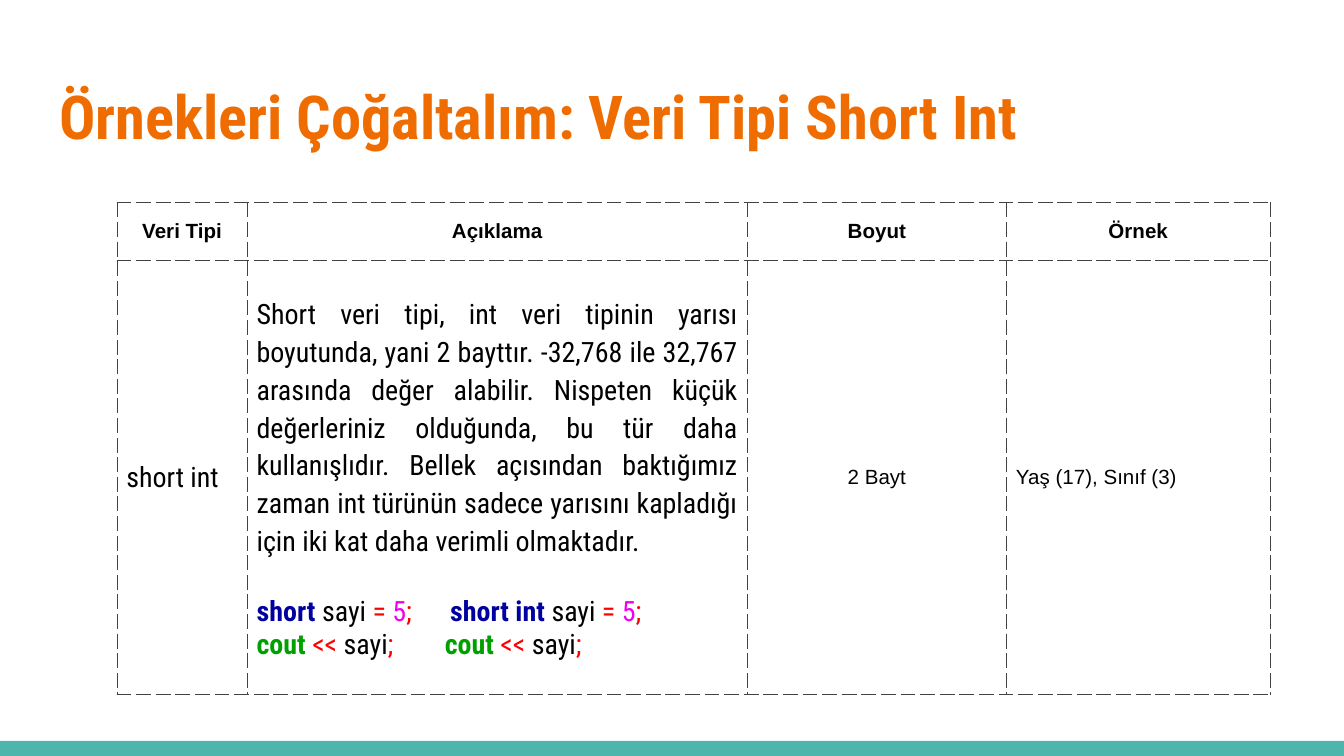
from dataclasses import dataclass
from lxml.etree import SubElement
from pptx import Presentation
from pptx.dml.color import RGBColor as RGB
from pptx.enum.shapes import MSO_SHAPE as Shape
from pptx.enum.text import MSO_ANCHOR as Anchor, MSO_AUTO_SIZE as Fit, PP_ALIGN as Align
from pptx.oxml import parse_xml
from pptx.oxml.ns import nsdecls, qn
from pptx.util import Inches, Pt

# Content
TITLE = "Örnekleri Çoğaltalım: Veri Tipi Short Int"
HEADS = ["Veri Tipi", "Açıklama", "Boyut", "Örnek"]
ABOUT = ("Short veri tipi, int veri tipinin yarısı boyutunda, yani 2 bayttır. "
         "-32,768 ile 32,767 arasında değer alabilir. Nispeten küçük değerleriniz "
         "olduğunda, bu tür daha kullanışlıdır. Bellek açısından baktığımız zaman "
         "int türünün sadece yarısını kapladığı için iki kat daha verimli olmaktadır.")
TYPES = ["short ", "short int "]
SET = [("sayi ", "text"), ("= ", "sign"), ("5", "num"), (";", "sign")]
SHOW = [("cout ", "call"), ("<< ", "sign"), ("sayi", "text"), (";", "sign")]
CODE = [[[(kind, "key")] + SET for kind in TYPES], [SHOW for kind in TYPES]]


# Theme
@dataclass(frozen=True)
class Theme:
    main: str = "Roboto Condensed"
    plain: str = "Arial"
    head: float = 32.4
    body: float = 15
    small: float = 11
    title: str = "EF6C00"
    bar: str = "4DB6AC"
    rule: str = "434343"
    text: str = "000000"
    key: str = "0000A0"
    call: str = "00A000"
    sign: str = "FF0000"
    num: str = "F000F0"


T = Theme()
WIDE = Inches(10)
HIGH = WIDE * 9 // 16
COLS = [0.97, 3.72, 1.93, 1.96]
ROWS = [0.43, 3.23]
LEFT, TOP = 0.87, 1.51
PAD, GAP = 0.07, 20
STOPS = [1.44, 1.4]


def put(obj, **vals):
    for name, val in vals.items():
        setattr(obj, name, val)


def write(para, text, tone="text", size=T.body, face=T.main, bold=False):
    run = para.add_run()
    run.text = text
    put(run.font, name=face, size=Pt(size), bold=bold)
    run.font.color.rgb = RGB.from_string(getattr(T, tone))


def frame(cell):
    """Clear the fill and draw dashed sides."""
    cell.fill.background()
    props = cell._tc.get_or_add_tcPr()
    for spot, side in enumerate(("lnL", "lnR", "lnT", "lnB")):
        props.insert(spot, parse_xml(
            f'<a:{side} {nsdecls("a")} w="{Pt(0.5)}"><a:solidFill>'
            f'<a:srgbClr val="{T.rule}"/></a:solidFill>'
            f'<a:prstDash val="dash"/></a:{side}>'))


deck = Presentation()
put(deck, slide_width=WIDE, slide_height=HIGH)
slide = deck.slides.add_slide(deck.slide_layouts[5])

# Bottom bar
deep = int(HIGH * 0.02)
bar = slide.shapes.add_shape(Shape.RECTANGLE, 0, HIGH - deep, WIDE, deep)
bar.shadow.inherit = False
bar.fill.solid()
bar.fill.fore_color.rgb = RGB.from_string(T.bar)
bar.line.fill.background()

# Title
title = slide.shapes.title
put(title, left=Inches(0.34), top=Inches(0.49), width=Inches(9.32), height=Inches(0.77))
sides = ("margin_left", "margin_right", "margin_top", "margin_bottom")
put(title.text_frame, auto_size=Fit.NONE, word_wrap=True, vertical_anchor=Anchor.TOP,
    **dict.fromkeys(sides, Inches(0.1)))
para = title.text_frame.paragraphs[0]
para.alignment = Align.LEFT
write(para, TITLE, "title", T.head, bold=True)

# Table grid
grid = slide.shapes.add_table(len(ROWS), len(COLS), Inches(LEFT), Inches(TOP),
                              Inches(sum(COLS)), Inches(sum(ROWS))).table
put(grid, first_row=False, horz_banding=False)
for col, size in zip(grid.columns, COLS):
    col.width = Inches(size)
for row, size in zip(grid.rows, ROWS):
    row.height = Inches(size)
for cell in grid.iter_cells():
    frame(cell)
    put(cell, vertical_anchor=Anchor.MIDDLE, margin_left=Inches(PAD),
        margin_right=Inches(PAD), margin_top=0, margin_bottom=0)

# Short cells: row, column, text, alignment, format
small = dict(size=T.small, face=T.plain)
cells = [(0, i, head, Align.CENTER, dict(small, bold=True)) for i, head in enumerate(HEADS)]
cells += [(1, 0, "short int", Align.JUSTIFY, {}),
          (1, 1, ABOUT, Align.JUSTIFY, {}),
          (1, 2, "2 Bayt", Align.CENTER, small),
          (1, 3, "Yaş (17), Sınıf (3)", Align.LEFT, small)]
for row, col, text, align, form in cells:
    para = grid.cell(row, col).text_frame.paragraphs[0]
    para.alignment = align
    write(para, text, **form)

# Code samples, side by side under the description
about = grid.cell(1, 1).text_frame
about.paragraphs[0].line_spacing = 1.15
for i, (line, stop) in enumerate(zip(CODE, STOPS)):
    para = about.add_paragraph()
    put(para, alignment=Align.LEFT, space_before=Pt(0 if i else GAP))
    tabs = SubElement(para._p.get_or_add_pPr(), qn("a:tabLst"))
    SubElement(tabs, qn("a:tab"), pos=str(Inches(stop)), algn="l")
    for j, part in enumerate(line):
        if j:
            write(para, "\t")
        for text, tone in part:
            write(para, text, tone, bold=tone in ("key", "call"))

deck.save("out.pptx")
